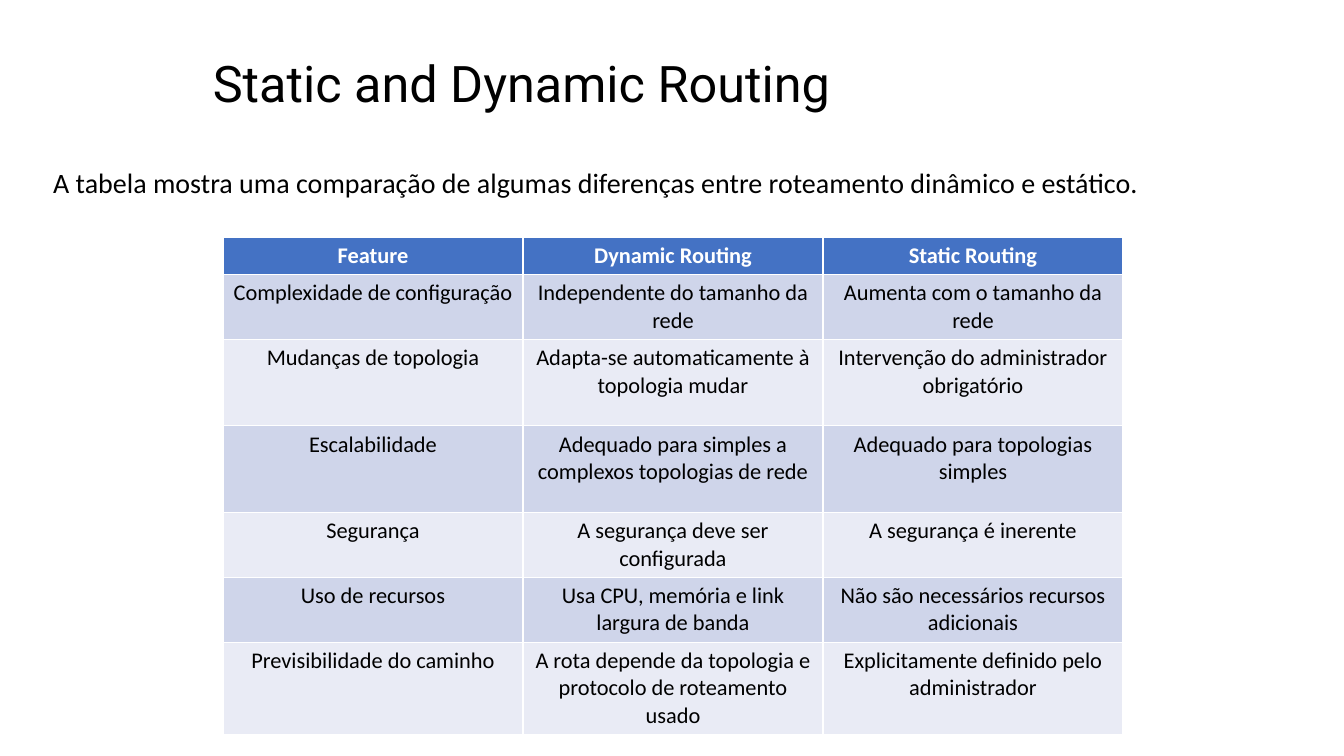
from dataclasses import dataclass
from typing import NamedTuple

from pptx import Presentation
from pptx.dml.color import RGBColor
from pptx.enum.text import MSO_ANCHOR, MSO_AUTO_SIZE, PP_ALIGN
from pptx.util import Cm, Pt

LEFT, CENTER = PP_ALIGN.LEFT, PP_ALIGN.CENTER
TOP, MIDDLE = MSO_ANCHOR.TOP, MSO_ANCHOR.MIDDLE
NO_AUTOFIT = MSO_AUTO_SIZE.NONE
TITLE_ONLY = 5


@dataclass(frozen=True)
class Theme:
    text: RGBColor = RGBColor(0x00, 0x00, 0x00)
    header_text: RGBColor = RGBColor(0xFF, 0xFF, 0xFF)
    header_fill: RGBColor = RGBColor(0x44, 0x72, 0xC4)
    bands: tuple = (RGBColor(0xCF, 0xD5, 0xEA), RGBColor(0xE9, 0xEB, 0xF5))
    title_font: str = "Roboto"
    body_font: str = "Calibri"
    title_size: Pt = Pt(36)
    body_size: Pt = Pt(20)
    table_size: Pt = Pt(16)


class Box(NamedTuple):
    left: float
    top: float
    width: float
    height: float


class Row(NamedTuple):
    height: float
    feature: str
    dynamic: str
    static: str


THEME = Theme()
TITLE_BOX = Box(5.11, 0.66, 27.74, 3.02)
INTRO_BOX = Box(1.09, 4.14, 31.75, 14.73)
TABLE_BOX = Box(5.62, 5.97, 22.68, 12)

TITLE = "Static and Dynamic Routing"
INTRO = ("A tabela mostra uma comparação de algumas diferenças "
         "entre roteamento dinâmico e estático.")
ROWS = [
    Row(0.89, "Feature", "Dynamic Routing", "Static Routing"),
    Row(1.52, "Complexidade de configuração",
        "Independente do tamanho da rede", "Aumenta com o tamanho da rede"),
    Row(2.18, "Mudanças de topologia",
        "Adapta-se automaticamente à topologia mudar",
        "Intervenção do administrador obrigatório"),
    Row(2.18, "Escalabilidade",
        "Adequado para simples a complexos topologias de rede",
        "Adequado para topologias simples"),
    Row(1.52, "Segurança",
        "A segurança deve ser configurada", "A segurança é inerente"),
    Row(1.52, "Uso de recursos",
        "Usa CPU, memória e link largura de banda",
        "Não são necessários recursos adicionais"),
    Row(2.18, "Previsibilidade do caminho",
        "A rota depende da topologia e protocolo de roteamento usado",
        "Explicitamente definido pelo administrador"),
]


def set_attributes(target: object, values: dict) -> None:
    for name, value in values.items():
        setattr(target, name, value)


def write(tf, text: str, color: RGBColor, font: dict, paragraph: dict) -> None:
    """Put one formatted paragraph into a text frame."""
    p = tf.paragraphs[0]
    set_attributes(p, paragraph)
    r = p.add_run()
    r.text = text
    set_attributes(r.font, font)
    r.font.color.rgb = color


def place_text(sp, box: Box, text: str, anchor, font: dict, paragraph: dict) -> None:
    """Position a text shape and fill it."""
    set_attributes(sp, {k: Cm(v) for k, v in box._asdict().items()})
    tf = sp.text_frame
    set_attributes(tf, {"word_wrap": True, "auto_size": NO_AUTOFIT,
                        "vertical_anchor": anchor})
    write(tf, text, THEME.text, font, paragraph)


def add_comparison(s, box: Box, rows: list[Row]) -> None:
    columns = len(rows[0]) - 1
    table = s.shapes.add_table(len(rows), columns, *map(Cm, box)).table
    for column in table.columns:
        column.width = Cm(box.width / columns)
    for i, (height, *texts) in enumerate(rows):
        header = i == 0
        table.rows[i].height = Cm(height)
        color = THEME.header_text if header else THEME.text
        fill = THEME.header_fill if header else THEME.bands[(i - 1) % 2]
        font = {"name": THEME.body_font, "size": THEME.table_size, "bold": header}
        for cell, text in zip(table.rows[i].cells, texts):
            cell.fill.solid()
            cell.fill.fore_color.rgb = fill
            cell.vertical_anchor = MIDDLE if header else TOP
            write(cell.text_frame, text, color, font, {"alignment": CENTER})


def main() -> None:
    prs = Presentation()
    set_attributes(prs, {"slide_width": Cm(33.87), "slide_height": Cm(19.05)})
    s = prs.slides.add_slide(prs.slide_layouts[TITLE_ONLY])
    place_text(s.shapes.title, TITLE_BOX, TITLE, MIDDLE,
               {"name": THEME.title_font, "size": THEME.title_size},
               {"alignment": LEFT, "line_spacing": 0.9})
    place_text(s.shapes.add_textbox(*map(Cm, INTRO_BOX)), INTRO_BOX, INTRO, TOP,
               {"name": THEME.body_font, "size": THEME.body_size},
               {"alignment": LEFT, "line_spacing": 0.9, "space_before": Pt(10)})
    add_comparison(s, TABLE_BOX, ROWS)
    prs.save("out.pptx")


if __name__ == "__main__":
    main()
